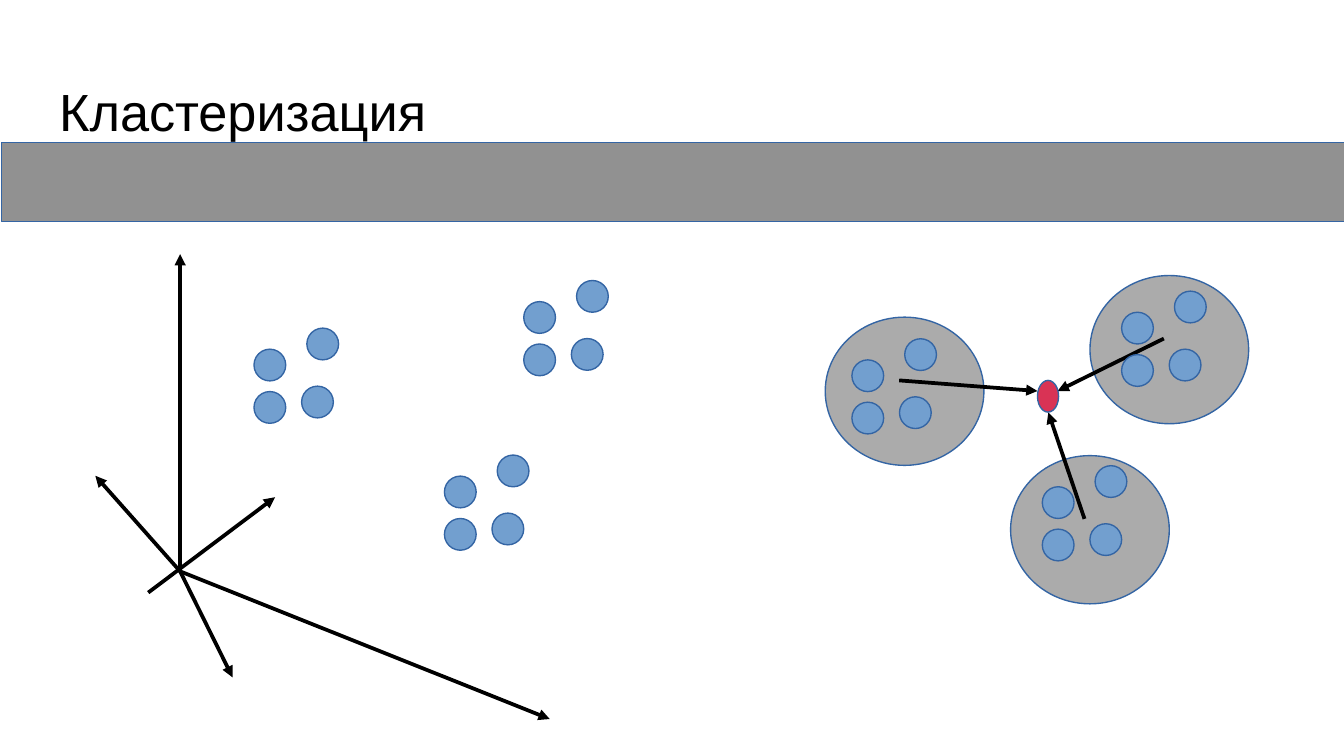
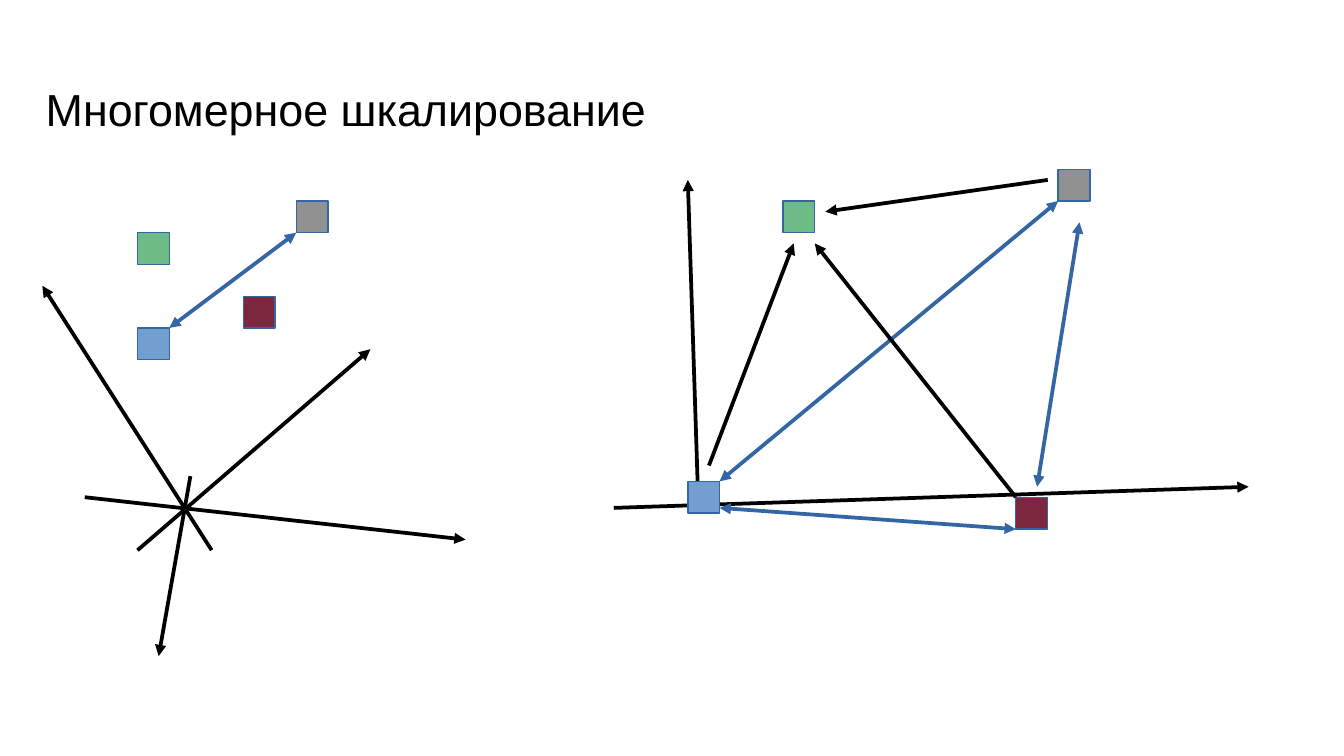
import lxml.etree
import pptx
import pptx.util
import pptx.dml.color
import pptx.enum.shapes
import pptx.enum.text
import pptx.oxml.ns

Pt = pptx.util.Pt
FORM = pptx.enum.shapes.MSO_SHAPE
ANCHOR = pptx.enum.text.MSO_ANCHOR

HUES = {
    "ink": "000000",
    "edge": "3465A4",
    "blue": "729FCF",
    "gray": "919191",
    "halo": "ABABAB",
    "core": "D93355",
    "green": "6EBC85",
    "wine": "7C273E",
}
FONT = "Arial"
WIDE, HIGH = 720, 405
TITLE = (24.5, 35.3, 671, 45.4)
SIDE = 17

BAND = (0.7, 76.3, 720, 42.5)
DOTS = [(0, 0), (0, 22.7), (25.5, 19.8), (28.3, -11.3)]
GROUPS = [(136.1, 187.1), (238.1, 255.1), (280.6, 161.6)]
SHIFT = (320.3, 5.7)
HALOS = [(541.4, 244.1), (583.9, 147.6), (442.1, 169.9)]
HALO_SIZE = (85, 79.4)
CORE = (555.8, 203.8, 11.3, 17)
PULLS = [(581, 278, 561.6, 221), (623.5, 181.4, 566.6, 209.5)]
LAST_PULL = (481.7, 203.8, 555.8, 209.5)
ORIGIN = (96.5, 306.1)
TIPS = [(96.5, 136.1), (294.5, 385.2), (124.6, 362.9), (51.1, 254.9)]
CROSS = (79.4, 317.5, 147.4, 266.4)

AXES = [
    (73.7, 294.8, 198.4, 187.1),
    (113.4, 294.8, 22.7, 153.1),
    (45.4, 266.4, 249.4, 289.1),
    (102, 255.1, 85, 351.5),
    (374.2, 272.1, 368.5, 96.4),
    (328.8, 272.1, 668.9, 260.8),
]
ITEMS = [
    ("green", (73.7, 124.7), (419.5, 107.7)),
    ("wine", (130.4, 158.7), (544.2, 266.4)),
    ("blue", (73.7, 175.7), (368.5, 257.9)),
    ("gray", (158.7, 107.7), (566.9, 90.7)),
]
LINKS = [
    (385.5, 257.9, 566.9, 107.7),
    (90.7, 175.7, 158.7, 124.7),
    (385.5, 272.1, 544.2, 283.5),
    (555.6, 260.8, 578.3, 119.1),
]
RAYS = [
    (544.2, 266.4, 436.5, 130.4),
    (379.8, 249.4, 425.2, 130.4),
    (561.3, 96.4, 442.2, 113.4),
]


def tint(name):
    return pptx.dml.color.RGBColor.from_string(HUES[name])


def add_node(parent, tag, **marks):
    lxml.etree.SubElement(parent, pptx.oxml.ns.qn(tag), **marks)


def add_title(deck, text, size, inset, anchor):
    slide = deck.slides.add_slide(deck.slide_layouts[5])
    title = slide.shapes.title
    title.left, title.top, title.width, title.height = map(Pt, TITLE)
    frame = title.text_frame
    frame.text = text
    frame.word_wrap = True
    frame.auto_size = pptx.enum.text.MSO_AUTO_SIZE.NONE
    frame.vertical_anchor = anchor
    frame.margin_left = frame.margin_right = Pt(inset)
    frame.margin_top = frame.margin_bottom = Pt(inset)
    line = frame.paragraphs[0]
    line.alignment = pptx.enum.text.PP_ALIGN.LEFT
    font = line.runs[0].font
    font.name, font.size = FONT, Pt(size)
    font.color.rgb = tint("ink")
    return slide


def add_form(slide, form, box, fill):
    shape = slide.shapes.add_shape(form, *map(Pt, box))
    shape.shadow.inherit = False
    shape.fill.solid()
    shape.fill.fore_color.rgb = tint(fill)
    shape.line.color.rgb = tint("edge")
    shape.line.width = Pt(0)


def add_arrow(slide, ends, hue="ink", both=False):
    link = slide.shapes.add_connector(
        pptx.enum.shapes.MSO_CONNECTOR.STRAIGHT, *map(Pt, ends))
    link.line.color.rgb = tint(hue)
    link.line.width = Pt(0)
    props = link._element.spPr
    stroke = props.find(pptx.oxml.ns.qn("a:ln"))
    for tag in ["a:headEnd", "a:tailEnd"] if both else ["a:tailEnd"]:
        add_node(stroke, tag, type="triangle")
    add_node(props, "a:effectLst")


def add_group(slide, left, top):
    for x, y in DOTS:
        add_form(slide, FORM.OVAL, (left + x, top + y, SIDE, SIDE), "blue")


def draw_groups(deck):
    slide = add_title(deck, "Кластеризация", 28, 7.2, ANCHOR.TOP)
    for spot in HALOS:
        add_form(slide, FORM.OVAL, spot + HALO_SIZE, "halo")
    for ends in PULLS:
        add_arrow(slide, ends)
    add_form(slide, FORM.RECTANGLE, BAND, "gray")
    for left, top in GROUPS:
        add_group(slide, left, top)
        add_group(slide, left + SHIFT[0], top + SHIFT[1])
    for tip in TIPS:
        add_arrow(slide, ORIGIN + tip)
    add_arrow(slide, CROSS)
    add_arrow(slide, LAST_PULL)
    add_form(slide, FORM.OVAL, CORE, "core")


def draw_scaling(deck):
    slide = add_title(deck, "Многомерное шкалирование", 24, 0, ANCHOR.MIDDLE)
    for ends in AXES:
        add_arrow(slide, ends)
    for hue, *spots in ITEMS:
        for spot in spots:
            add_form(slide, FORM.RECTANGLE, spot + (SIDE, SIDE), hue)
    for ends in LINKS:
        add_arrow(slide, ends, "edge", both=True)
    for ends in RAYS:
        add_arrow(slide, ends)


def main():
    deck = pptx.Presentation()
    deck.slide_width, deck.slide_height = Pt(WIDE), Pt(HIGH)
    draw_groups(deck)
    draw_scaling(deck)
    deck.save("out.pptx")


if __name__ == "__main__":
    main()
